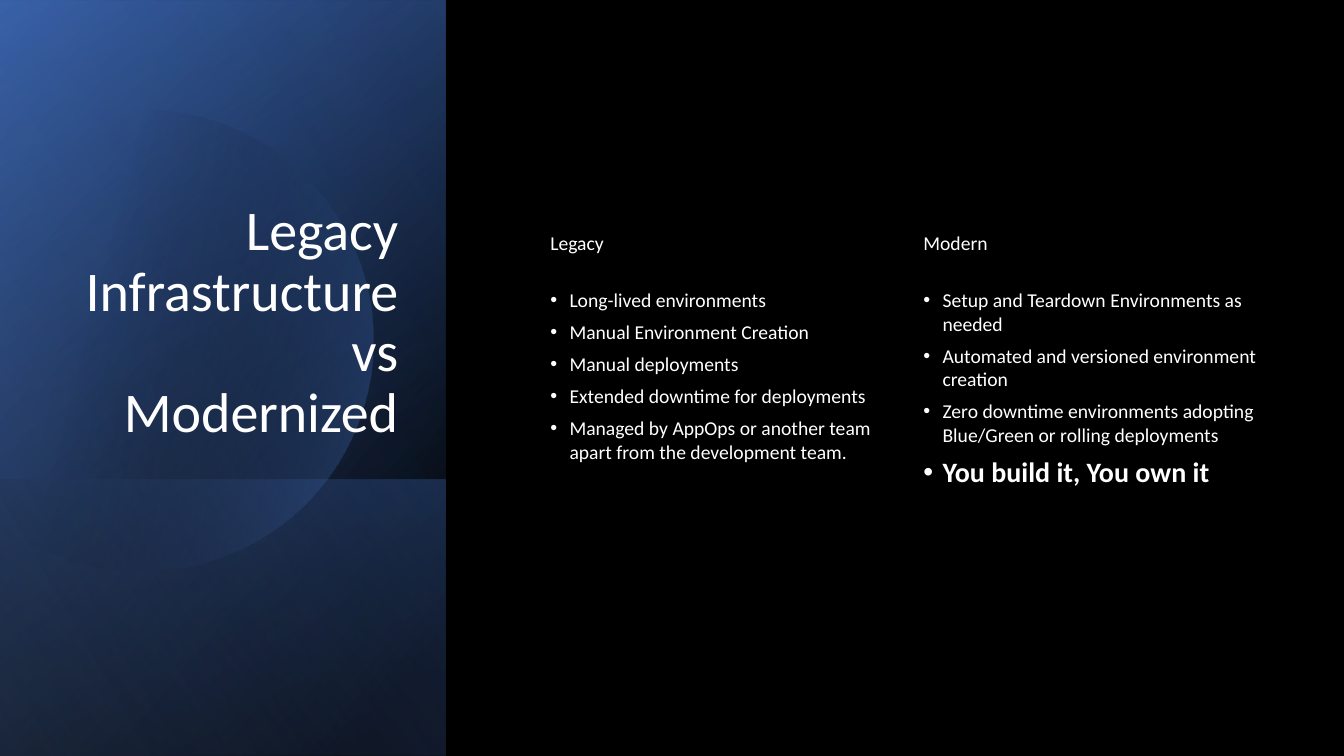
import math

import pptx
import pptx.dml.color
import pptx.enum.shapes
import pptx.enum.text
import pptx.oxml.ns
import pptx.util
from lxml import etree
from pptx.util import Inches

COLORS = {"black": "000000", "white": "FFFFFF", "navy": "2F5597",
          "blue": "4472C4", "pale": "8FAADC"}
FONT = "Calibri"

# left, top, length before the quarter turn, gradient angle,
# two gradient stops (position %, colour, opacity %)
PANELS = [
    (-1.54, 1.54, 7.5, 50, [(8, "black", 100), (100, "navy", 100)]),
    (-1.54, 1.55, 7.5, 30, [(0, "black", 0), (99, "blue", 46)]),
    (0.84, 3.92, 2.74, 130, [(2, "blue", 29), (100, "black", 30)]),
]
GLOW = (-1.54, 1.54, 7.5, 120, [(0, "black", 0), (99, "pale", 11)])
PANEL_WIDTH = 4.42

COLUMNS = [
    (5.36, "Legacy", [
        "Long-lived environments",
        "Manual Environment Creation",
        "Manual deployments",
        "Extended downtime for deployments",
        "Managed by AppOps or another team apart from the development team.",
    ], None),
    (9.06, "Modern", [
        "Setup and Teardown Environments as needed",
        "Automated and versioned environment creation",
        "Zero downtime environments adopting Blue/Green or rolling deployments",
    ], "You build it, You own it"),
]


def rgb(name):
    return pptx.dml.color.RGBColor.from_string(COLORS[name])


def fill_gradient(shape, angle, stops):
    """Fill with a two-stop gradient; the angle runs clockwise."""
    shape.shadow.inherit = False
    shape.line.fill.background()
    shape.fill.gradient()
    shape.fill.gradient_angle = 360 - angle
    for stop, (position, color, _) in zip(shape.fill.gradient_stops, stops):
        stop.position = position / 100
        stop.color.rgb = rgb(color)
    qn = pptx.oxml.ns.qn
    gradient = shape.element.spPr.find(qn("a:gradFill"))
    for clr, (_, _, opacity) in zip(gradient.iter(qn("a:srgbClr")), stops):
        etree.SubElement(clr, qn("a:alpha"), val=str(opacity * 1000))


def add_panel(s, left, top, length, angle, stops):
    """Add a mirrored rectangle turned by 90 degrees."""
    panel = s.shapes.add_shape(
        pptx.enum.shapes.MSO_SHAPE.RECTANGLE,
        Inches(left), Inches(top), Inches(length), Inches(PANEL_WIDTH))
    panel.rotation = 90
    panel.element.spPr.xfrm.set("flipH", "1")
    fill_gradient(panel, angle, stops)


def add_disc(s, cx, cy, radius):
    """Add a disc cut off along the slide's left edge."""
    limit = math.acos(-cx / radius)
    steps = 120
    angles = [limit * (2 * i / steps - 1) for i in range(steps + 1)]
    points = [(Inches(cx + radius * math.cos(a)),
               Inches(cy + radius * math.sin(a))) for a in angles]
    builder = s.shapes.build_freeform(*points[0])
    builder.add_line_segments(points[1:], close=True)
    fill_gradient(builder.convert_to_shape(), 14,
                  [(29, "black", 0), (100, "blue", 43)])


def add_run(p, text, size, bold=False):
    r = p.add_run()
    r.text = text
    r.font.name = FONT
    r.font.size = pptx.util.Pt(size)
    r.font.bold = bold
    r.font.color.rgb = rgb("white")


def set_title(s, text):
    title = s.shapes.title
    s.shapes.element.append(title.element)  # bring in front of the panels
    title.left, title.top = Inches(0.64), Inches(1.84)
    title.width, title.height = Inches(3.41), Inches(2.62)
    tf = title.text_frame
    tf.word_wrap = True
    tf.auto_size = pptx.enum.text.MSO_AUTO_SIZE.NONE
    tf.vertical_anchor = pptx.enum.text.MSO_ANCHOR.BOTTOM
    p = tf.paragraphs[0]
    p.alignment = pptx.enum.text.PP_ALIGN.RIGHT
    p.line_spacing = 0.9
    add_run(p, text, 40)


def add_text(s, left, top, height, lines, bullets=False):
    """Add a text box; each line is (text, size, bold)."""
    box = s.shapes.add_textbox(Inches(left), Inches(top),
                               Inches(3.59), Inches(height))
    tf = box.text_frame
    tf.word_wrap = True
    for i, line in enumerate(lines):
        p = tf.add_paragraph() if i else tf.paragraphs[0]
        p.space_after = pptx.util.Pt(6)
        if bullets:
            pPr = p._p.get_or_add_pPr()
            pPr.set("marL", str(Inches(0.19)))
            pPr.set("indent", str(-Inches(0.19)))
            qn = pptx.oxml.ns.qn
            etree.SubElement(pPr, qn("a:buFont"), typeface="Arial")
            etree.SubElement(pPr, qn("a:buChar"), char="•")
        add_run(p, *line)


def main():
    prs = pptx.Presentation()
    prs.slide_width, prs.slide_height = Inches(13.33), Inches(7.5)
    s = prs.slides.add_slide(prs.slide_layouts[5])
    s.background.fill.solid()
    s.background.fill.fore_color.rgb = rgb("black")

    for panel in PANELS:
        add_panel(s, *panel)
    add_disc(s, 1.41, 3.38, 2.29)
    add_panel(s, *GLOW)

    set_title(s, "Legacy Infrastructure vs Modernized")
    for left, heading, items, motto in COLUMNS:
        add_text(s, left, 2.24, 0.57, [(heading, 14)])
        lines = [(item, 14) for item in items]
        if motto:
            lines.append((motto, 20, True))
        add_text(s, left, 2.81, 2.55, lines, bullets=True)
    prs.save("out.pptx")


if __name__ == "__main__":
    main()
